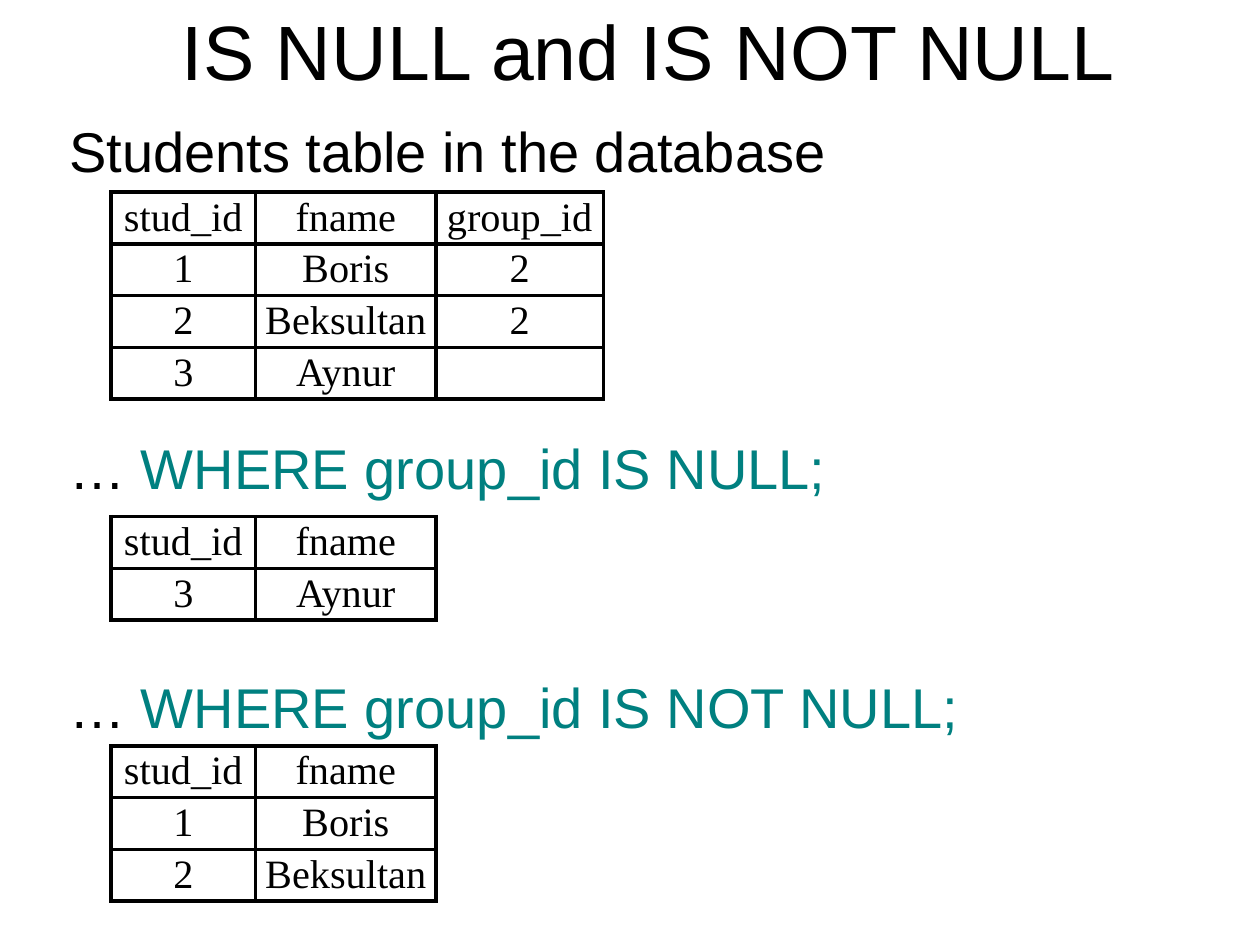
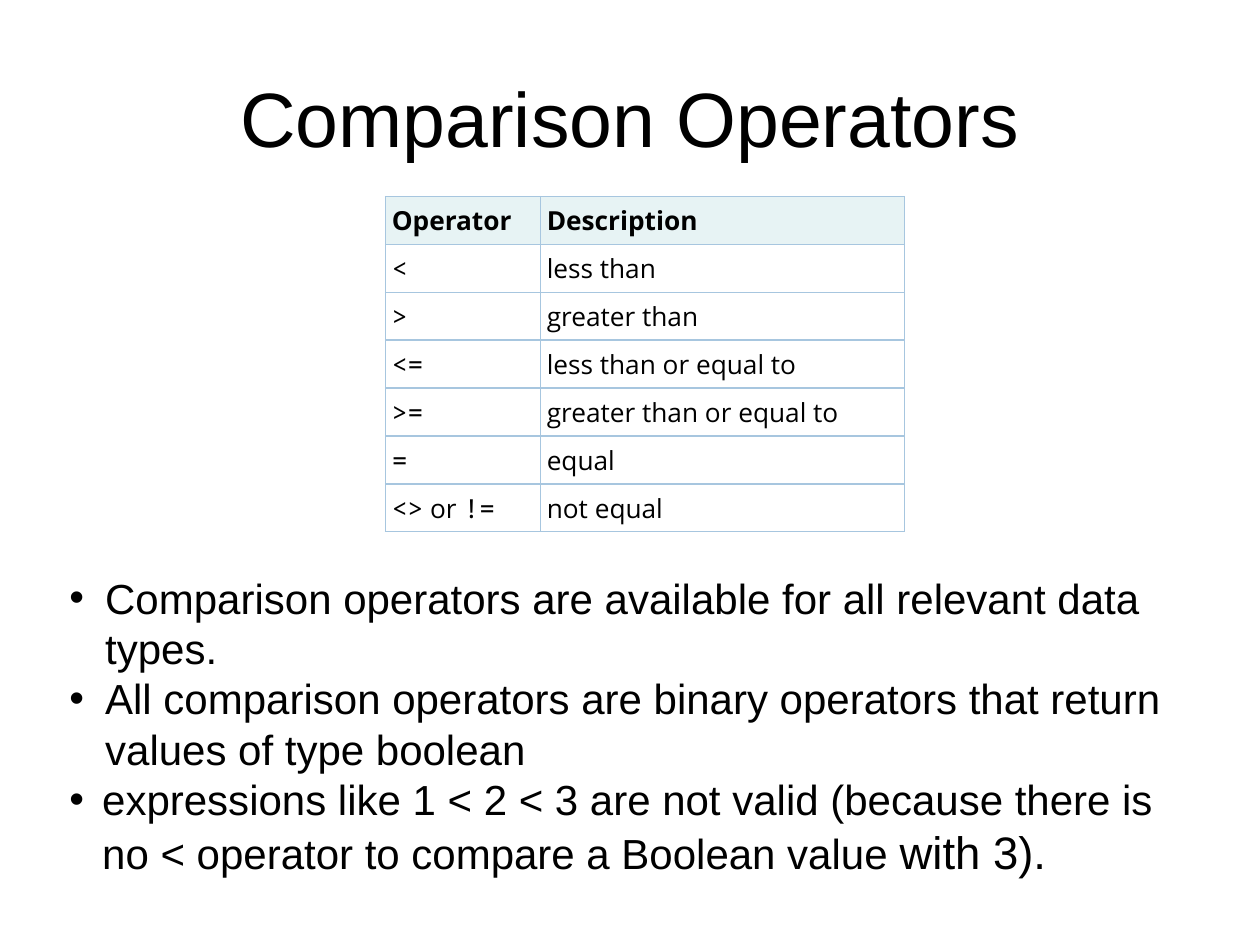
"""Two slides on SQL conditions: NULL tests and comparison operators."""
from dataclasses import dataclass
from typing import Optional, Sequence

from lxml import etree
from pptx import Presentation
from pptx import util as u
from pptx.dml.color import RGBColor
from pptx.enum import text
from pptx.oxml.ns import qn

BLACK = RGBColor(0x00, 0x00, 0x00)
WHITE = RGBColor(0xFF, 0xFF, 0xFF)
TEAL = RGBColor(0x00, 0x80, 0x80)
SKY = RGBColor(0xA7, 0xC6, 0xDF)
MIST = RGBColor(0xE7, 0xF3, 0xF4)

SANS, SERIF, HUMANIST, MONO = "Arial", "Times New Roman", "Open Sans", "Noto Sans Mono"

COLUMNS, ROWS = 100, 75  # square grid laid over the slide
CELL = u.Inches(0.1)
MARGIN = 0.5
BODY_LEFT, BODY_WIDTH, BODY_HEIGHT = 5, 90, 57.5
TITLE_HEIGHT = 16.5
DATA_LEFT, DATA_ROW = 8.8, 4.1
DATA_COLUMNS = (11.5, 14.3, 13.3)


@dataclass(frozen=True)
class Span:
    """A stretch of text in one style."""
    words: str
    size: float
    font: str = SANS
    color: RGBColor = BLACK
    bold: bool = False


@dataclass(frozen=True)
class Para:
    """Spans that form a paragraph; a bulleted one has a hanging indent."""
    spans: Sequence[Span]
    before: float = 0
    hang: float = 0
    align: text.PP_ALIGN = text.PP_ALIGN.LEFT
    spacing: Optional[float] = None


@dataclass(frozen=True)
class TableStyle:
    """Look shared by all cells of a table."""
    line: RGBColor
    line_width: float
    margin: float
    anchor: text.MSO_ANCHOR
    header_fill: Optional[RGBColor] = None
    body_fill: Optional[RGBColor] = None


DATA_STYLE = TableStyle(BLACK, 2.25, 0, text.MSO_ANCHOR.TOP)
OPERATOR_STYLE = TableStyle(SKY, 1, MARGIN, text.MSO_ANCHOR.MIDDLE, MIST, WHITE)


def grid(count: float) -> u.Emu:
    """Turn a number of grid cells into a length."""
    return u.Emu(round(count * CELL))


def set_margins(holder, margin: float) -> None:
    """Give a text frame or table cell the same margin on all sides."""
    for side in ("left", "right", "top", "bottom"):
        setattr(holder, f"margin_{side}", grid(margin))


def add_bullet(paragraph, hang: float) -> None:
    """Put a round bullet in a hanging indent."""
    props = paragraph._p.get_or_add_pPr()
    props.set("marL", str(grid(hang)))
    props.set("indent", str(-grid(hang)))
    etree.SubElement(props, qn("a:buFont"), typeface=SANS)
    etree.SubElement(props, qn("a:buChar"), char="•")


def write(frame, paras: Sequence[Para]) -> None:
    """Fill a text frame paragraph by paragraph, run by run."""
    for index, para in enumerate(paras):
        paragraph = frame.add_paragraph() if index else frame.paragraphs[0]
        paragraph.alignment = para.align
        paragraph.space_before = u.Pt(para.before)
        if para.spacing:
            paragraph.line_spacing = para.spacing
        if para.hang:
            add_bullet(paragraph, para.hang)
        for span in para.spans:
            run = paragraph.add_run()
            run.text = span.words
            run.font.name, run.font.size = span.font, u.Pt(span.size)
            run.font.bold = span.bold
            run.font.color.rgb = span.color


def add_text(page, left: float, top: float, height: float, paras: Sequence[Para],
             anchor: text.MSO_ANCHOR = text.MSO_ANCHOR.TOP,
             top_margin: float = MARGIN) -> None:
    """Add a wrapped text box of body width."""
    box = page.shapes.add_textbox(*map(grid, (left, top, BODY_WIDTH, height)))
    frame = box.text_frame
    frame.word_wrap = True
    frame.vertical_anchor = anchor
    set_margins(frame, MARGIN)
    frame.margin_top = grid(top_margin)
    write(frame, paras)


def add_title(page, words: str, left: float, top: float) -> None:
    """Add the centred slide title."""
    title = Para([Span(words, 44)], align=text.PP_ALIGN.CENTER)
    add_text(page, left, top, TITLE_HEIGHT, [title], text.MSO_ANCHOR.MIDDLE)


def add_borders(cell, color: RGBColor, width: float) -> None:
    """Draw a solid line on each side of a cell."""
    props = cell._tc.get_or_add_tcPr()
    for side in ("a:lnL", "a:lnR", "a:lnT", "a:lnB"):
        line = etree.SubElement(props, qn(side), w=str(u.Pt(width)))
        fill = etree.SubElement(line, qn("a:solidFill"))
        etree.SubElement(fill, qn("a:srgbClr"), val=str(color))


def add_table(page, left: float, top: float, widths: Sequence[float], row_height: float,
              rows: Sequence[Sequence[Para]], style: TableStyle) -> None:
    """Add a ruled table whose cells each hold one paragraph."""
    size = (sum(widths), row_height * len(rows))
    table = page.shapes.add_table(len(rows), len(widths),
                                  *map(grid, (left, top, *size))).table
    table.first_row = table.horz_banding = False
    for column, width in zip(table.columns, widths):
        column.width = grid(width)
    for r, row in enumerate(rows):
        table.rows[r].height = grid(row_height)
        for c, para in enumerate(row):
            cell = table.cell(r, c)
            set_margins(cell, style.margin)
            cell.vertical_anchor = style.anchor
            add_borders(cell, style.line, style.line_width)
            fill = style.body_fill if r else style.header_fill
            if fill is None:
                cell.fill.background()
            else:
                cell.fill.solid()
                cell.fill.fore_color.rgb = fill
            write(cell.text_frame, [para])


def add_data_table(page, top: float, records: Sequence[Sequence[str]]) -> None:
    """Add a table of database records, aligned with the others."""
    rows = [[Para([Span(value, 23, SERIF)] if value else [],
                  align=text.PP_ALIGN.CENTER, spacing=1.07) for value in record]
            for record in records]
    add_table(page, DATA_LEFT, top, DATA_COLUMNS[:len(records[0])], DATA_ROW, rows, DATA_STYLE)


def condition(words: str, before: float) -> Para:
    """Make a heading that shows the end of a query."""
    return Para([Span("… ", 32), Span(words, 32, color=TEAL)], before)


def null_page(page) -> None:
    """Show which students match IS NULL and IS NOT NULL."""
    add_text(page, BODY_LEFT, 8.75, BODY_HEIGHT, [
        Para([Span("Students table in the database", 32)]),
        condition("WHERE group_id IS NULL;", 143),
        condition("WHERE group_id IS NOT NULL;", 98),
    ])
    add_title(page, "IS NULL and IS NOT NULL", 6.5, -4.3)
    header = ("stud_id", "fname", "group_id")
    students = [("1", "Boris", "2"), ("2", "Beksultan", "2"), ("3", "Aynur", "")]
    add_data_table(page, 15.25, [header, *students])
    for top, grouped in ((41, False), (59.2, True)):
        found = [student[:2] for student in students if bool(student[2]) == grouped]
        add_data_table(page, top, [header[:2], *found])


def operator_page(page) -> None:
    """List the comparison operators and the rules for them."""
    add_text(page, BODY_LEFT, 14.3, BODY_HEIGHT, [
        Para([Span("Comparison operators are available for all relevant data types.", 24)],
             hang=2.85),
        Para([Span("All comparison operators are binary operators that return "
                   "values of type boolean", 24)], hang=2.85),
        Para([Span("expressions like 1 < 2 < 3 are not valid (because there is "
                   "no < operator to compare a Boolean value ", 24),
              Span("with 3).", 26)], hang=2.62),
    ], top_margin=31.1)
    add_title(page, "Comparison Operators", BODY_LEFT, 1)
    operators = [
        (["<"], "less than"),
        ([">"], "greater than"),
        (["<="], "less than or equal to"),
        ([">="], "greater than or equal to"),
        (["="], "equal"),
        (["<>", " or ", "!="], "not equal"),
    ]
    rows = [[Para([Span(words, 15, HUMANIST, bold=True)])
             for words in ("Operator", "Description")]]
    for symbols, meaning in operators:
        spans = [Span(part, 15, HUMANIST if part == " or " else MONO) for part in symbols]
        rows.append([Para(spans), Para([Span(meaning, 15, HUMANIST)])])
    add_table(page, 30.6, 15.6, (12.3, 28.9), 3.8, rows, OPERATOR_STYLE)


def main() -> None:
    """Build the deck and save it."""
    deck = Presentation()
    deck.slide_width, deck.slide_height = grid(COLUMNS), grid(ROWS)
    for draw in (null_page, operator_page):
        draw(deck.slides.add_slide(deck.slide_layouts[6]))
    deck.save("out.pptx")


main()
